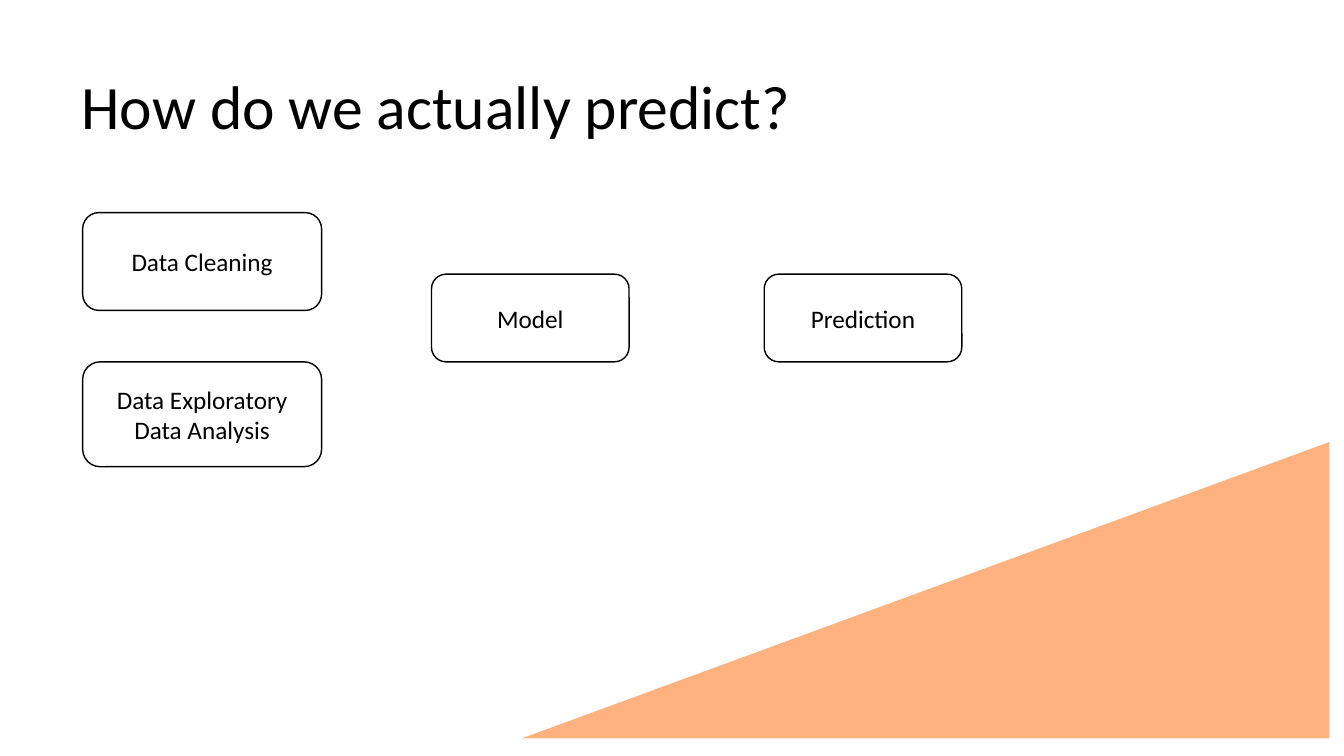
"""Build the slide that outlines the steps from data to prediction."""
from lxml.etree import SubElement
from pptx import Presentation
from pptx.dml.color import RGBColor
from pptx.enum.shapes import MSO_SHAPE as Shape
from pptx.enum.text import MSO_ANCHOR as Anchor, PP_ALIGN as Align
from pptx.oxml.ns import qn
from pptx.util import Pt

PX = 9144
THEME = {
    "ink": RGBColor.from_string("000000"),
    "accent": RGBColor.from_string("FF6600"),
    "font": "Calibri",
    "title": Pt(44),
    "label": Pt(18),
    "outline": Pt(1),
}


def place(*lengths):
    return [length * PX for length in lengths]


def write(shape, text, size, **formats):
    frame = shape.text_frame
    frame.word_wrap = True
    frame.vertical_anchor = Anchor.MIDDLE
    paragraph = frame.paragraphs[0]
    paragraph.text = text
    for name, value in formats.items():
        setattr(paragraph, name, value)
    font = paragraph.runs[0].font
    for name, value in {"name": THEME["font"], "size": size}.items():
        setattr(font, name, value)
    font.color.rgb = THEME["ink"]


presentation = Presentation()
presentation.slide_width, presentation.slide_height = place(1333, 750)
slide = presentation.slides.add_slide(presentation.slide_layouts[6])

title = slide.shapes.add_textbox(*place(71, 54, 1106, 109))
write(title, "How do we actually predict?", THEME["title"], line_spacing=0.9)

corner = slide.shapes.add_shape(Shape.RIGHT_TRIANGLE, *place(771, 185, 294, 801))
corner.rotation = 270
corner.shadow.inherit = False
corner.fill.solid()
corner.fill.fore_color.rgb = THEME["accent"]
corner.line.fill.background()
corner_color = corner.fill._xPr.find(qn("a:solidFill"))[0]
SubElement(corner_color, qn("a:alpha"), val="50000")

steps = [
    ("Data Cleaning", 82, 211, 237, 97),
    ("Model", 428, 272, 196, 87),
    ("Data Exploratory Data Analysis", 82, 359, 237, 104),
    ("Prediction", 758, 272, 196, 87),
]
for label, *box in steps:
    step = slide.shapes.add_shape(Shape.ROUNDED_RECTANGLE, *place(*box))
    step.shadow.inherit = False
    step.fill.background()
    step.line.color.rgb = THEME["ink"]
    step.line.width = THEME["outline"]
    write(step, label, THEME["label"], alignment=Align.CENTER)

presentation.save("out.pptx")
